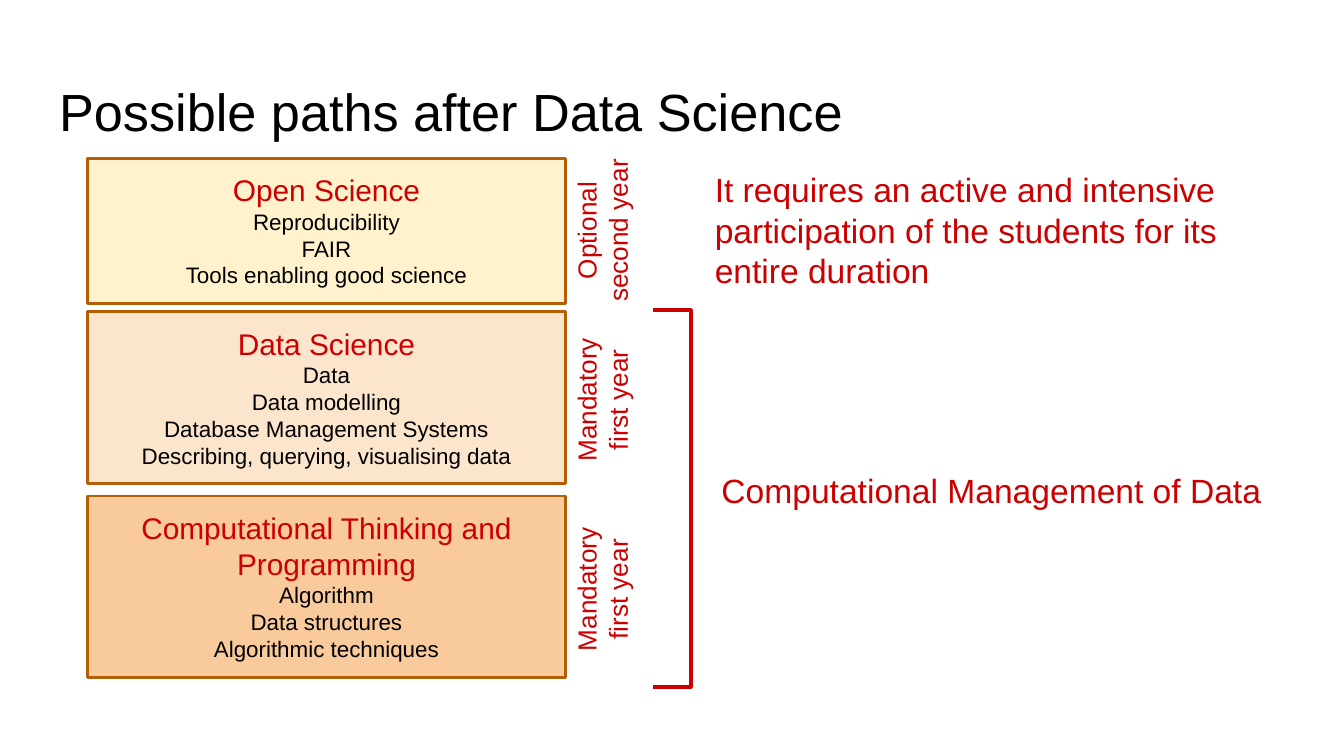
from pptx import Presentation
from pptx.dml.color import RGBColor
from pptx.enum.shapes import MSO_SHAPE
from pptx.enum.text import MSO_ANCHOR, MSO_AUTO_SIZE, PP_ALIGN
from pptx.util import Pt

PX = 4572  # EMU per px, 200 px to the inch
INSET = 20
FONT = "Arial"
RECTANGLE = MSO_SHAPE.RECTANGLE
TOP = MSO_ANCHOR.TOP
LEFT, CENTER = PP_ALIGN.LEFT, PP_ALIGN.CENTER
GROW = MSO_AUTO_SIZE.SHAPE_TO_FIT_TEXT
FIXED = MSO_AUTO_SIZE.NONE

BLACK = RGBColor(0x00, 0x00, 0x00)
RED = RGBColor(0xCC, 0x00, 0x00)
BROWN = RGBColor(0xB4, 0x5F, 0x06)
ORANGE = RGBColor(0xF9, 0xCB, 0x9C)
PEACH = RGBColor(0xFC, 0xE5, 0xCD)
CREAM = RGBColor(0xFF, 0xF2, 0xCC)

COURSE_LEFT, COURSE_WIDTH = 130, 712
LABEL_CENTER, LABEL_HEIGHT = 896, 134

# top, height, fill, name, topics, label lines, label length, label middle
COURSES = [
    (738, 270, ORANGE, "Computational Thinking and Programming",
     ["Algorithm", "Data structures", "Algorithmic techniques"],
     ["Mandatory", "first year"], 228, 139),
    (464, 256, PEACH, "Data Science",
     ["Data", "Data modelling", "Database Management Systems",
      "Describing, querying, visualising data"],
     ["Mandatory", "first year"], 228, 131),
    (236, 216, CREAM, "Open Science",
     ["Reproducibility", "FAIR", "Tools enabling good science"],
     ["Optional", "second year"], 280, 107),
]


def box_emu(*lengths):
    return [round(length * PX) for length in lengths]


def write_text(shape, lines, size=18, color=RED, align=LEFT, auto_size=GROW,
               rest_size=None, rest_color=None):
    """Write one paragraph a line; the rest_ values format all but the first."""
    frame = shape.text_frame
    frame.word_wrap = True
    frame.auto_size = auto_size
    frame.vertical_anchor = TOP
    frame.margin_left = frame.margin_right = INSET * PX
    frame.margin_top = frame.margin_bottom = INSET * PX
    for index, line in enumerate(lines):
        paragraph = frame.add_paragraph() if index else frame.paragraphs[0]
        paragraph.alignment = align
        run = paragraph.add_run()
        run.text = line
        run.font.name = FONT
        run.font.size = Pt(rest_size if index and rest_size else size)
        run.font.color.rgb = rest_color if index and rest_color else color


def add_title(slide, left, top, width, height):
    title = slide.shapes.title
    title.left, title.top, title.width, title.height = box_emu(
        left, top, width, height)
    write_text(title, ["Possible paths after Data Science"], size=28,
               color=BLACK, auto_size=FIXED)


def add_course(slide, top, height, fill, name, topics, label, label_length,
               label_middle):
    """Add a course box with its year label turned to read upwards."""
    shapes = slide.shapes.add_group_shape().shapes
    course = shapes.add_shape(
        RECTANGLE, *box_emu(COURSE_LEFT, top, COURSE_WIDTH, height))
    course.shadow.inherit = False
    course.fill.solid()
    course.fill.fore_color.rgb = fill
    course.line.color.rgb = BROWN
    course.line.width = Pt(1.5)
    write_text(course, [name, *topics], size=16, align=CENTER,
               rest_size=12, rest_color=BLACK)

    year = shapes.add_textbox(*box_emu(
        LABEL_CENTER - label_length / 2,
        top + label_middle - LABEL_HEIGHT / 2,
        label_length, LABEL_HEIGHT))
    year.rotation = 270
    write_text(year, label, size=14, align=CENTER)


def add_note(shapes, text, left, top, width, height):
    note = shapes.add_textbox(*box_emu(left, top, width, height))
    write_text(note, [text])


def add_bracket(slide, left, top, width, height):
    """Add the bracket that joins the first-year courses, and its note."""
    shapes = slide.shapes.add_group_shape().shapes
    right, bottom = left + width, top + height
    builder = shapes.build_freeform(left, top, scale=PX)
    builder.add_line_segments(
        [(right, top), (right, bottom), (left, bottom)], close=False)
    bracket = builder.convert_to_shape()
    bracket.shadow.inherit = False
    bracket.fill.background()
    bracket.line.color.rgb = RED
    bracket.line.width = Pt(2.25)
    add_note(shapes, "Computational Management of Data",
             right + 26, top + 218, 888, 100)


def main():
    presentation = Presentation()
    presentation.slide_width, presentation.slide_height = box_emu(2000, 1125)
    title_only = presentation.slide_layouts[5]
    slide = presentation.slides.add_slide(title_only)

    add_title(slide, 68, 98, 1864, 126)
    for course in COURSES:
        add_course(slide, *course)
    add_bracket(slide, 972, 462, 56, 560)
    add_note(slide.shapes, "It requires an active and intensive participation "
             "of the students for its entire duration", 1044, 232, 888, 222)
    presentation.save("out.pptx")


if __name__ == "__main__":
    main()
